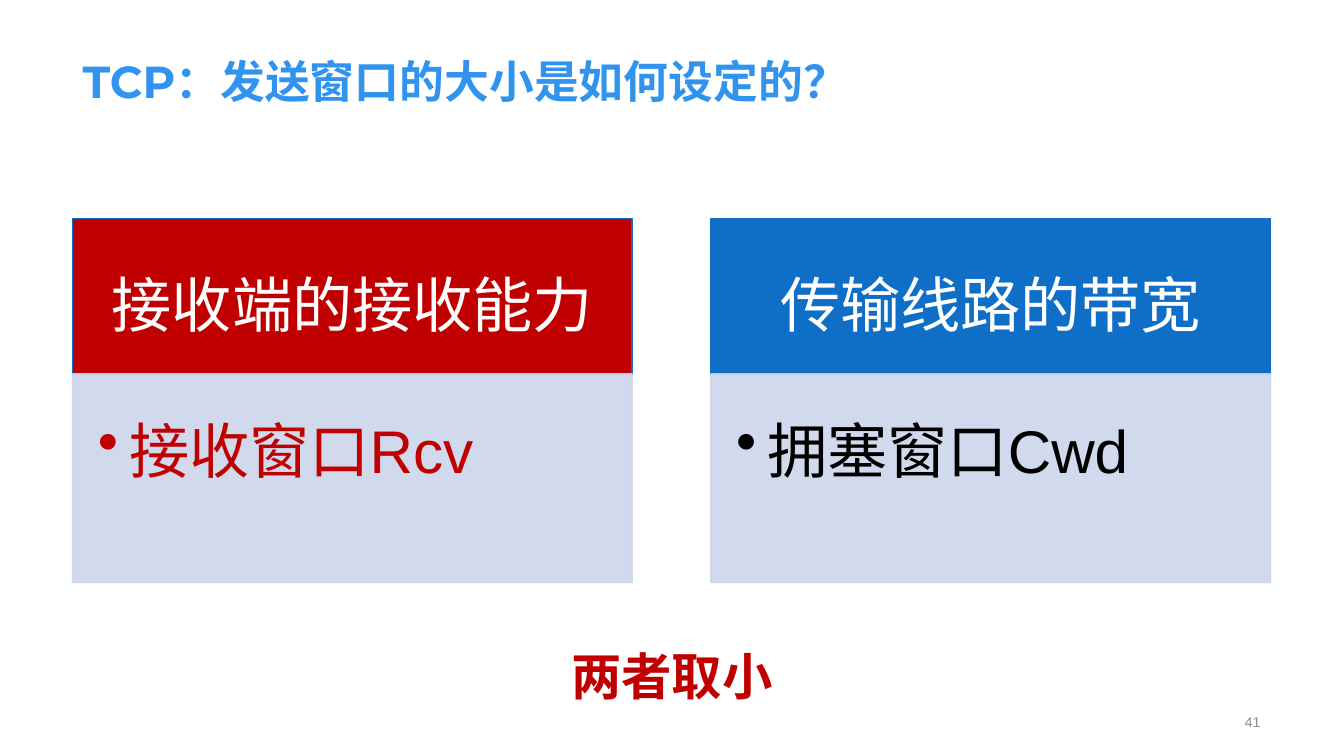
from lxml.etree import SubElement
from pptx import Presentation
from pptx.dml.color import RGBColor
from pptx.enum.shapes import MSO_SHAPE
from pptx.enum.text import MSO_ANCHOR, PP_ALIGN
from pptx.oxml.ns import qn
from pptx.util import Inches, Pt

COLORS = {
    "title": "3094EF", "red": "C00000", "blue": "0F6FC6", "pale": "CCD5EA",
    "white": "FFFFFF", "black": "000000", "gray": "8C8C8C",
}


class SlideBuilder:
    def __init__(self, prs, font="Arial"):
        self.s = prs.slides.add_slide(prs.slide_layouts[6])
        self.font = font

    def color(self, name):
        return RGBColor.from_string(COLORS[name])

    def add_text(self, sp, text, size, color, align=PP_ALIGN.LEFT, anchor=MSO_ANCHOR.TOP,
                 insets=(0.1, 0.05, 0.1, 0.05), spacing=1.0, bold=False, font=None,
                 bullet=False):
        tf = sp.text_frame
        tf.word_wrap = True
        tf.vertical_anchor = anchor
        tf.margin_left, tf.margin_top, tf.margin_right, tf.margin_bottom = map(Inches, insets)
        p = tf.paragraphs[0]
        p.alignment = align
        p.line_spacing = spacing
        if bullet:
            pPr = p._p.get_or_add_pPr()
            pPr.set("marL", str(Inches(0.31)))
            pPr.set("indent", str(-Inches(0.31)))
            SubElement(pPr, qn("a:buChar"), char="•")
        r = p.add_run()
        r.text = text
        r.font.size, r.font.bold = Pt(size), bold
        r.font.name = font or self.font
        r.font.color.rgb = self.color(color)

    def label(self, box, text, size, color, **style):
        sp = self.s.shapes.add_textbox(*map(Inches, box))
        self.add_text(sp, text, size, color, **style)

    def block(self, box, fill, line, text, color, alpha=None, **style):
        sp = self.s.shapes.add_shape(MSO_SHAPE.RECTANGLE, *map(Inches, box))
        sp.shadow.inherit = False
        sp.fill.solid()
        sp.fill.fore_color.rgb = self.color(fill)
        sp.line.color.rgb = self.color(line)
        sp.line.width = Pt(1)
        if alpha:
            for clr in sp._element.spPr.iter(qn("a:srgbClr")):
                SubElement(clr, qn("a:alpha"), val=str(alpha * 1000))
        self.add_text(sp, text, 43, color, spacing=1.2, **style)

    def card(self, left, head, head_fill, body, body_color):
        self.block((left, 2.17, 5.55, 1.54), head_fill, "blue", head, "white",
                   align=PP_ALIGN.CENTER, anchor=MSO_ANCHOR.MIDDLE,
                   insets=(0.33, 0.19, 0.33, 0.19))
        self.block((left, 3.71, 5.55, 2.07), "pale", "pale", body, body_color,
                   alpha=90, insets=(0.25, 0.25, 0.33, 0.38), bullet=True)


def main():
    prs = Presentation()
    prs.slide_width, prs.slide_height = Inches(13.33), Inches(7.5)
    b = SlideBuilder(prs)

    # Title
    b.label((0.72, 0.14, 11.88, 0.98), "TCP：发送窗口的大小是如何设定的？", 32, "title",
            anchor=MSO_ANCHOR.BOTTOM, bold=True, font="Montserrat")

    # Two limits on the send window
    b.card(0.72, "接收端的接收能力", "red", "接收窗口Rcv", "red")
    b.card(7.05, "传输线路的带宽", "blue", "拥塞窗口Cwd", "black")

    # Conclusion and page number
    b.label((5.53, 6.23, 2.27, 0.77), "两者取小", 36, "red",
            align=PP_ALIGN.CENTER, spacing=1.2, bold=True)
    b.label((8.5, 7.01, 4.1, 0.3), "41", 10, "gray",
            align=PP_ALIGN.RIGHT, anchor=MSO_ANCHOR.MIDDLE)

    prs.save("out.pptx")


if __name__ == "__main__":
    main()
